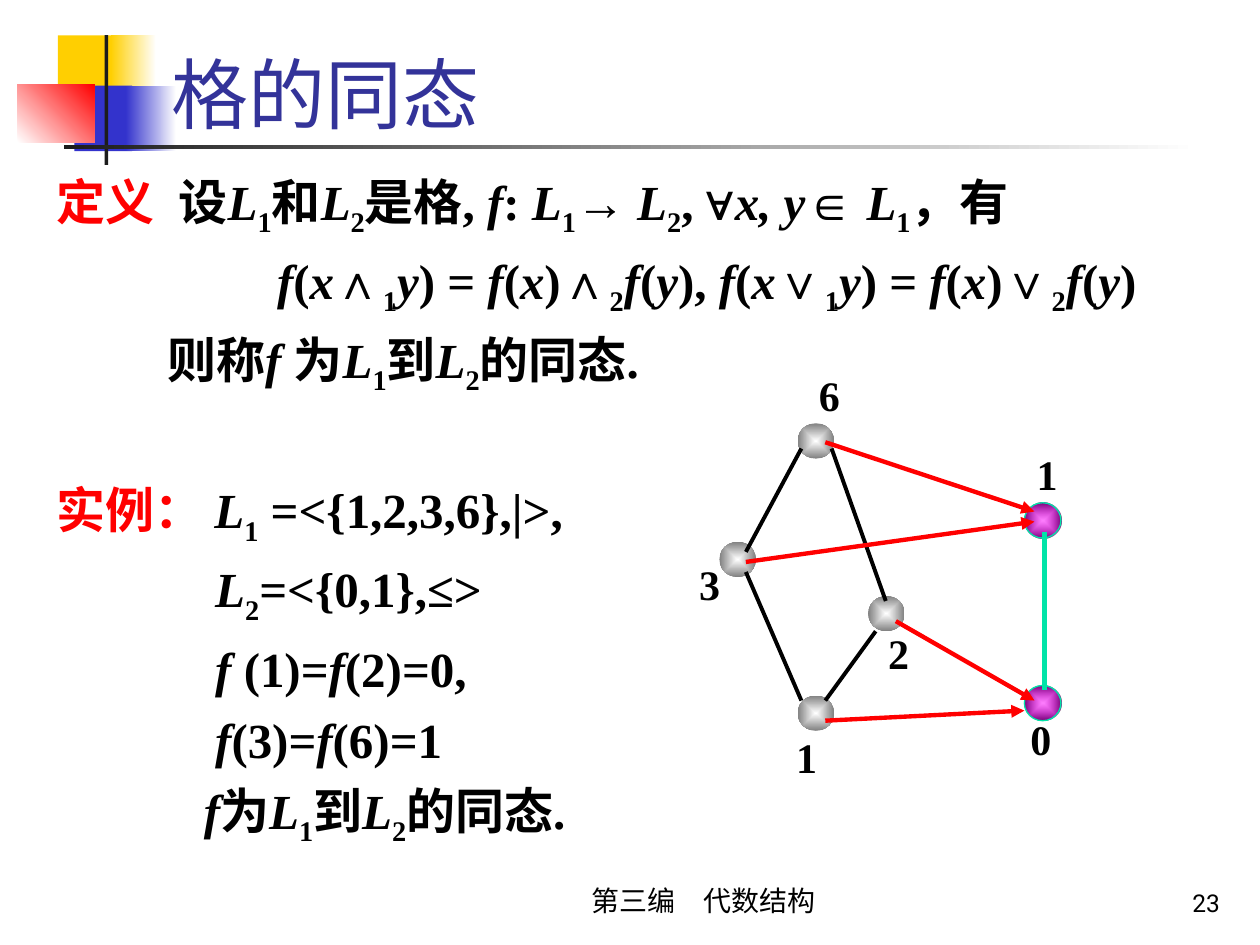
from pptx import Presentation
from pptx.dml.color import RGBColor as RGB
from pptx.enum.shapes import MSO_CONNECTOR as LINE, MSO_SHAPE as SHAPE
from pptx.enum.text import MSO_ANCHOR as ANCHOR, PP_ALIGN as ALIGN
from pptx.oxml.ns import qn
from pptx.util import Inches, Pt
from lxml.etree import SubElement as Sub

COL = {
    "black": "000000", "white": "FFFFFF", "red": "FF0000", "gold": "FFCF01",
    "blue": "3333CC", "title": "333399", "dark": "1C1C1C", "gray": "808080",
    "pink": "FF00FF", "plum": "760076", "mint": "00E4A8",
}
SERIF, SANS = "Times New Roman", "Roboto"

BARS = [
    (0.46, 0.28, 0.48, 0.52, ["gold"], 0),
    (0.88, 0.28, 0.36, 0.52, ["gold", "white"], 0),
    (0.59, 0.68, 0.46, 0.52, ["blue"], 0),
    (1, 0.68, 0.4, 0.52, ["blue", "white"], 0),
    (0.14, 0.67, 0.61, 0.46, ["white", "red"], 45),
    (0.83, 0.28, 0.03, 1.03, ["dark"], 0),
    (0.51, 1.15, 9, 0.03, ["dark", "white"], 0),
]

# Each piece starts with its style: n normal, i italic, s subscript, r red.
BODY = [
    (0, 7, "r定义\u2002~n设~iL~s1~n和~iL~s2~n是格, ~if~n: ~iL~s1~n→ ~iL~s2"
           "~n, ∀~ix, y~n∈ ~iL~s1~n，有"),
    (1.75, 7, "if~n(~ix~n∧~s1~iy~n) = ~if~n(~ix~n)∧~s2~if~n(~iy~n), "
              "~if~n(~ix~n∨~s1~iy~n) = ~if~n(~ix~n)∨~s2~if~n(~iy~n)"),
    (0.88, 7, "n则称~if ~n为~iL~s1~n到~iL~s2~n的同态."),
    (0, 47.6, "r实例： ~iL~s1~n =<{1,2,3,6},|>,"),
    (1.26, 7, "iL~s2~n=<{0,1},≤>"),
    (1.26, 7, "if ~n(1)=~if~n(2)=0,"),
    (1.26, 7, "if~n(3)=~if~n(6)=1"),
    (1.17, 7, "if~n为~iL~s1~n到~iL~s2~n的同态."),
]

GRAYS = [(6.33, 3.36), (5.71, 4.3), (6.89, 4.73), (6.33, 5.52)]
PINKS = [(8.13, 5.44), (8.13, 3.99)]
EDGES = [
    (6.36, 3.56, 5.92, 4.38), (6.95, 5.01, 6.55, 5.56),
    (6.36, 5.56, 5.92, 4.54), (7.03, 4.77, 6.6, 3.56),
]
TAGS = [
    ("1", 6.22, 5.76), ("2", 6.95, 4.93), ("3", 5.45, 4.38),
    ("6", 6.4, 2.88), ("0", 8.08, 5.61), ("1", 8.13, 3.51),
]
MAPS = [
    (6.55, 3.51, 8.21, 4.06), (5.92, 4.46, 8.21, 4.14),
    (6.55, 5.72, 8.13, 5.64), (7.11, 4.93, 8.21, 5.56),
]


def tint(name):
    return RGB.from_string(COL[name])


def add_form(slide, kind, box, cols, ang=0):
    form = slide.shapes.add_shape(kind, *map(Inches, box))
    form.shadow.inherit = False
    form.line.fill.background()
    if len(cols) == 1:
        form.fill.solid()
        form.fill.fore_color.rgb = tint(cols[0])
    else:
        form.fill.gradient()
        form.fill.gradient_angle = ang
        for stop, name, pos in zip(form.fill.gradient_stops, cols, (0, 1)):
            stop.color.rgb = tint(name)
            stop.position = pos
    return form


def add_node(slide, x, y, cols, rim=None):
    node = add_form(slide, SHAPE.OVAL, (x, y, 0.29, 0.28), cols)
    grad = node._element.spPr.find(qn("a:gradFill"))
    grad.remove(grad.find(qn("a:lin")))
    ray = Sub(grad, qn("a:path"), {"path": "rect"})
    Sub(ray, qn("a:fillToRect"), dict.fromkeys("ltrb", "50000"))
    if rim:
        first = grad.find(".//" + qn("a:srgbClr"))
        Sub(first, qn("a:alpha"), {"val": "50000"})
        node.line.color.rgb = tint(rim)
        node.line.width = Pt(0.74)


def add_line(slide, ends, name, width, head=False):
    line = slide.shapes.add_connector(LINE.STRAIGHT, *map(Inches, ends))
    line.line.color.rgb = tint(name)
    line.line.width = Pt(width)
    if head:
        Sub(line.line._get_or_add_ln(), qn("a:tailEnd"), {"type": "triangle"})
    Sub(line._element.spPr, qn("a:effectLst"))


def add_box(slide, box, anchor=ANCHOR.TOP, wrap=True):
    frame = slide.shapes.add_textbox(*map(Inches, box)).text_frame
    frame.word_wrap = wrap
    frame.vertical_anchor = anchor
    return frame


def add_run(para, text, size, face, name="black", bold=False):
    run = para.add_run()
    run.text = text
    run.font.size = Pt(size)
    run.font.name = face
    run.font.bold = bold
    run.font.color.rgb = tint(name)
    return run


def add_text(slide, box, text, size, face, name="black", bold=False,
             align=ALIGN.LEFT, anchor=ANCHOR.BOTTOM, wrap=True):
    para = add_box(slide, box, anchor, wrap).paragraphs[0]
    para.alignment = align
    add_run(para, text, size, face, name, bold)


def add_body(slide):
    frame = add_box(slide, (0.35, 1.31, 9.29, 5.98))
    for row, (left, gap, marks) in enumerate(BODY):
        para = frame.paragraphs[0] if row == 0 else frame.add_paragraph()
        para.space_before = Pt(gap)
        para._p.get_or_add_pPr().set("marL", str(Inches(left)))
        for mark in marks.split("~"):
            style, text = mark[0], mark[1:]
            name = "red" if style == "r" else "black"
            run = add_run(para, text, 28, SERIF, name, True)
            run.font.italic = style == "i"
            if style == "s":
                run.font._element.set("baseline", "-25000")


def add_graph(slide):
    for x, y in GRAYS:
        add_node(slide, x, y, ["white", "gray"])
    for ends in EDGES:
        add_line(slide, ends, "black", 2.24)
    for x, y in PINKS:
        add_node(slide, x, y, ["pink", "plum"], "mint")
    add_line(slide, (8.29, 4.22, 8.29, 5.48), "mint", 2.49)
    for text, x, y in TAGS:
        add_text(slide, (x, y, 0.36, 0.5), text, 24, SERIF, bold=True,
                 anchor=ANCHOR.TOP, wrap=False)
    for ends in MAPS:
        add_line(slide, ends, "red", 2.49, True)


def main():
    deck = Presentation()
    deck.slide_width, deck.slide_height = Inches(10), Inches(7.5)
    slide = deck.slides.add_slide(deck.slide_layouts[6])
    for *box, cols, ang in BARS:
        add_form(slide, SHAPE.RECTANGLE, box, cols, ang)
    add_text(slide, (4, 6.83, 3.17, 0.5), "第三编\u3000代数结构", 16, SANS,
             align=ALIGN.CENTER)
    add_text(slide, (7.7, 6.83, 2.08, 0.5), "23", 14, SANS, align=ALIGN.RIGHT)
    add_text(slide, (1.26, 0.08, 8.52, 1.07), "格的同态", 44, SANS, "title")
    add_body(slide)
    add_graph(slide)
    deck.save("out.pptx")


main()
